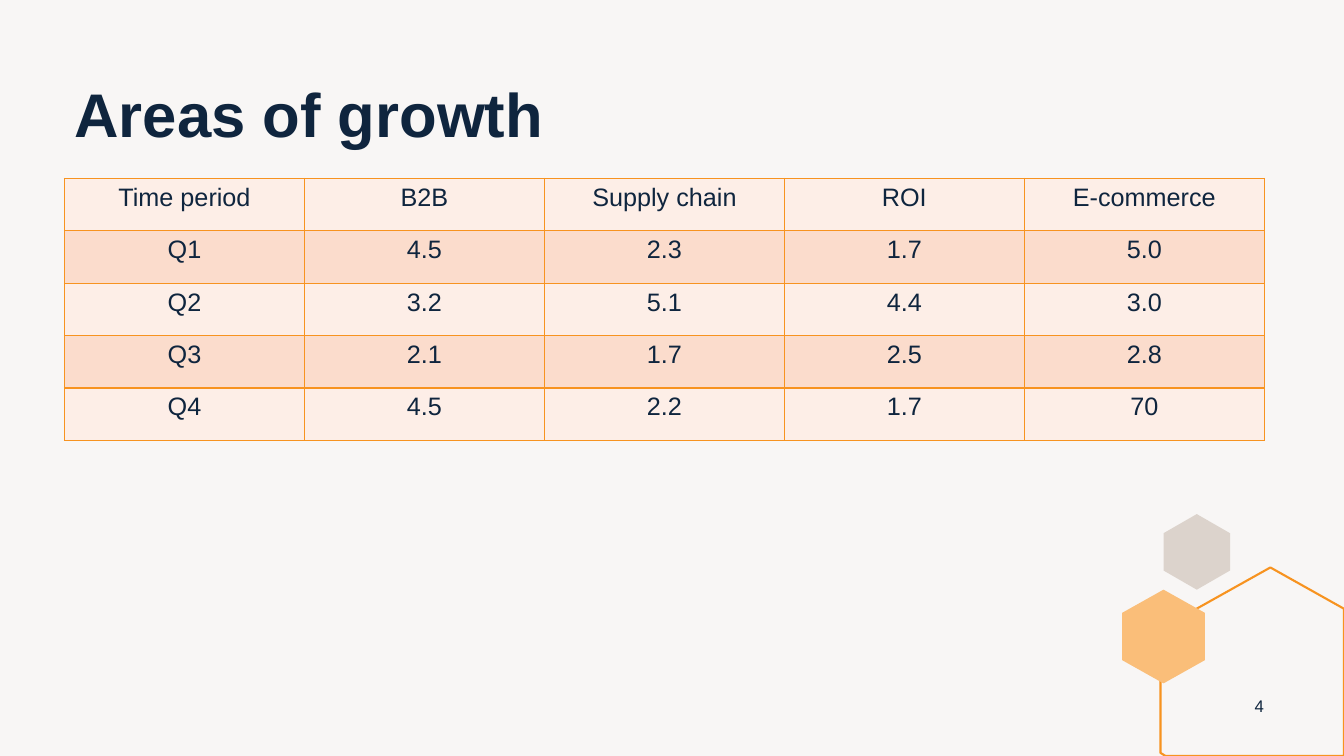
from typing import NamedTuple, Optional

from lxml import etree
from pptx import Presentation, util as u
from pptx.dml.color import RGBColor
from pptx.enum import text
from pptx.oxml import ns

PX = 9144  # EMU per px, 100 px to the inch
FONT = "Arial"
COLORS = {
    "background": "F8F6F5",
    "ink": "0F253E",
    "orange": "F79320",
    "apricot": "FABE79",
    "stone": "DCD3CC",
    "row_light": "FDEEE7",
    "row_dark": "FBDCCC",
}
GROWTH = [
    ["Time period", "B2B", "Supply chain", "ROI", "E-commerce"],
    ["Q1", "4.5", "2.3", "1.7", "5.0"],
    ["Q2", "3.2", "5.1", "4.4", "3.0"],
    ["Q3", "2.1", "1.7", "2.5", "2.8"],
    ["Q4", "4.5", "2.2", "1.7", "70"],
]
COL_W, ROW_H = 238, 52


class Hexagon(NamedTuple):
    points: list[tuple[int, int]]
    fill: Optional[str] = None
    line: Optional[str] = None


class Label(NamedTuple):
    words: str
    box: tuple[int, int, int, int]
    size: int
    bold: bool = False
    align: text.PP_ALIGN = text.PP_ALIGN.LEFT
    anchor: text.MSO_ANCHOR = text.MSO_ANCHOR.TOP
    spacing: float = 1.0


def pointy_hexagon(left: int, top: int, width: int, height: int, shoulder: int) -> list[tuple[int, int]]:
    """Corners of an upright hexagon whose sides start `shoulder` px below its top."""
    mid, right, bottom = left + width // 2, left + width, top + height
    return [(mid, top), (right, top + shoulder), (right, bottom - shoulder),
            (mid, bottom), (left, bottom - shoulder), (left, top + shoulder)]


HEXAGONS = [
    Hexagon(pointy_hexagon(1154, 510, 66, 75, 19), fill="stone"),
    Hexagon([(1260, 563), (1333, 604), (1333, 750), (1156, 750), (1151, 747), (1151, 624)],
            line="orange"),
    Hexagon(pointy_hexagon(1113, 585, 82, 93, 23), fill="apricot"),
]
LABELS = [
    Label("Areas of growth", (64, 79, 1191, 155), 44, bold=True, spacing=0.9),
    Label("4", (1224, 680, 50, 40), 12, align=text.PP_ALIGN.CENTER,
          anchor=text.MSO_ANCHOR.MIDDLE),
]


def rgb(name: str) -> RGBColor:
    return RGBColor.from_string(COLORS[name])


def write(p, words: str, size: int, bold: bool = False) -> None:
    r = p.add_run()
    r.text = words
    r.font.name, r.font.size, r.font.bold = FONT, u.Pt(size), bold
    r.font.color.rgb = rgb("ink")


def draw_hexagon(s, hexagon: Hexagon) -> None:
    first, *rest = hexagon.points
    builder = s.shapes.build_freeform(*first, scale=PX)
    builder.add_line_segments(rest, close=True)
    sp = builder.convert_to_shape()
    sp.shadow.inherit = False
    if hexagon.fill:
        sp.fill.solid()
        sp.fill.fore_color.rgb = rgb(hexagon.fill)
    else:
        sp.fill.background()
    if hexagon.line:
        sp.line.color.rgb = rgb(hexagon.line)
        sp.line.width = u.Pt(1.5)
    else:
        sp.line.fill.background()


def draw_label(s, label: Label) -> None:
    sp = s.shapes.add_textbox(*(n * PX for n in label.box))
    tf = sp.text_frame
    tf.word_wrap = True
    tf.vertical_anchor = label.anchor
    p = tf.paragraphs[0]
    p.alignment, p.line_spacing = label.align, label.spacing
    write(p, label.words, label.size, label.bold)


def add_borders(cell, color: str, width: float) -> None:
    tc_pr = cell._tc.get_or_add_tcPr()
    for side in ("lnL", "lnR", "lnT", "lnB"):
        ln = etree.SubElement(tc_pr, ns.qn(f"a:{side}"), w=str(u.Pt(width)))
        fill = etree.SubElement(ln, ns.qn("a:solidFill"))
        etree.SubElement(fill, ns.qn("a:srgbClr"), val=COLORS[color])


def draw_table(s, rows: list[list[str]], left: int, top: int) -> None:
    n_rows, n_cols = len(rows), len(rows[0])
    table = s.shapes.add_table(n_rows, n_cols, left * PX, top * PX,
                               n_cols * COL_W * PX, n_rows * ROW_H * PX).table
    table.first_row = table.horz_banding = False
    for i, row in enumerate(rows):
        for j, words in enumerate(row):
            cell = table.cell(i, j)
            add_borders(cell, "orange", 0.96)
            cell.fill.solid()
            cell.fill.fore_color.rgb = rgb("row_dark" if i % 2 else "row_light")
            p = cell.text_frame.paragraphs[0]
            p.alignment = text.PP_ALIGN.CENTER
            write(p, words, 18)


def main() -> None:
    prs = Presentation()
    prs.slide_width, prs.slide_height = u.Emu(1333 * PX), u.Emu(750 * PX)
    s = prs.slides.add_slide(prs.slide_layouts[6])
    s.background.fill.solid()
    s.background.fill.fore_color.rgb = rgb("background")
    for hexagon in HEXAGONS:
        draw_hexagon(s, hexagon)
    draw_table(s, GROWTH, 64, 177)
    for label in LABELS:
        draw_label(s, label)
    prs.save("out.pptx")


if __name__ == "__main__":
    main()
